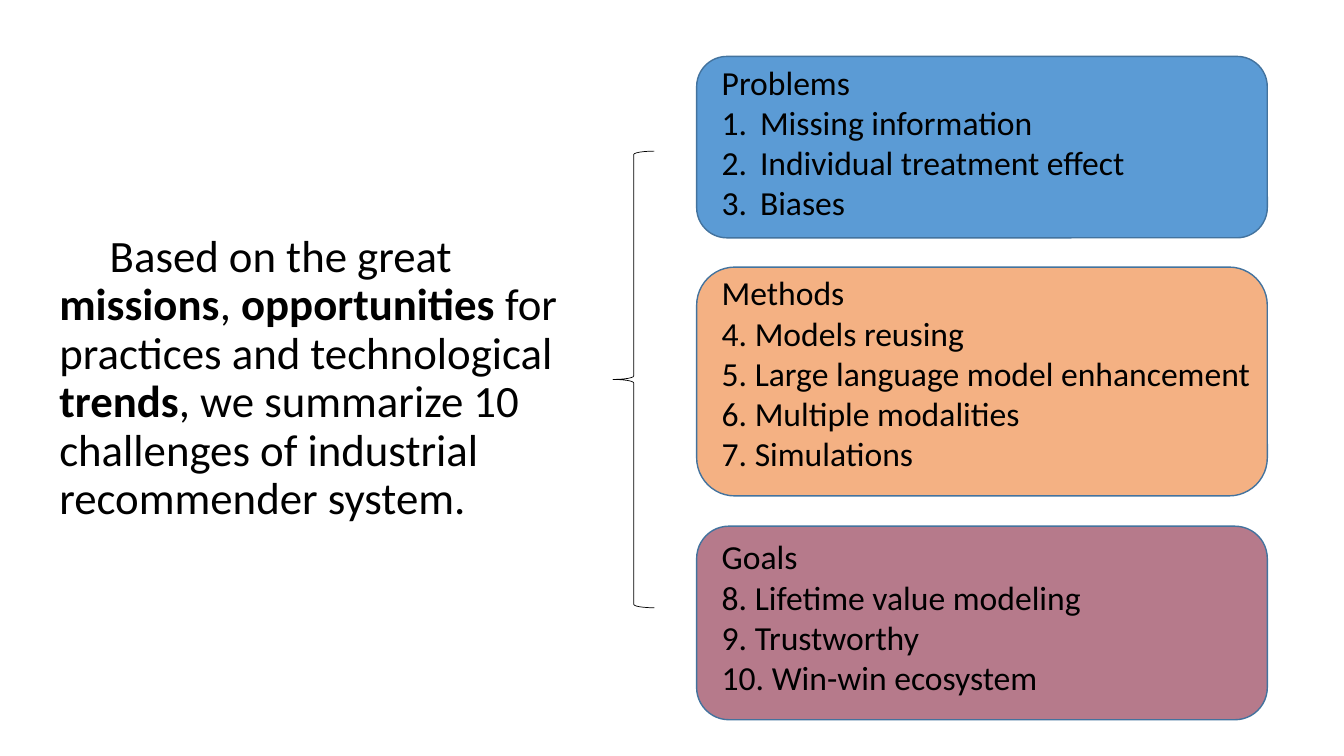
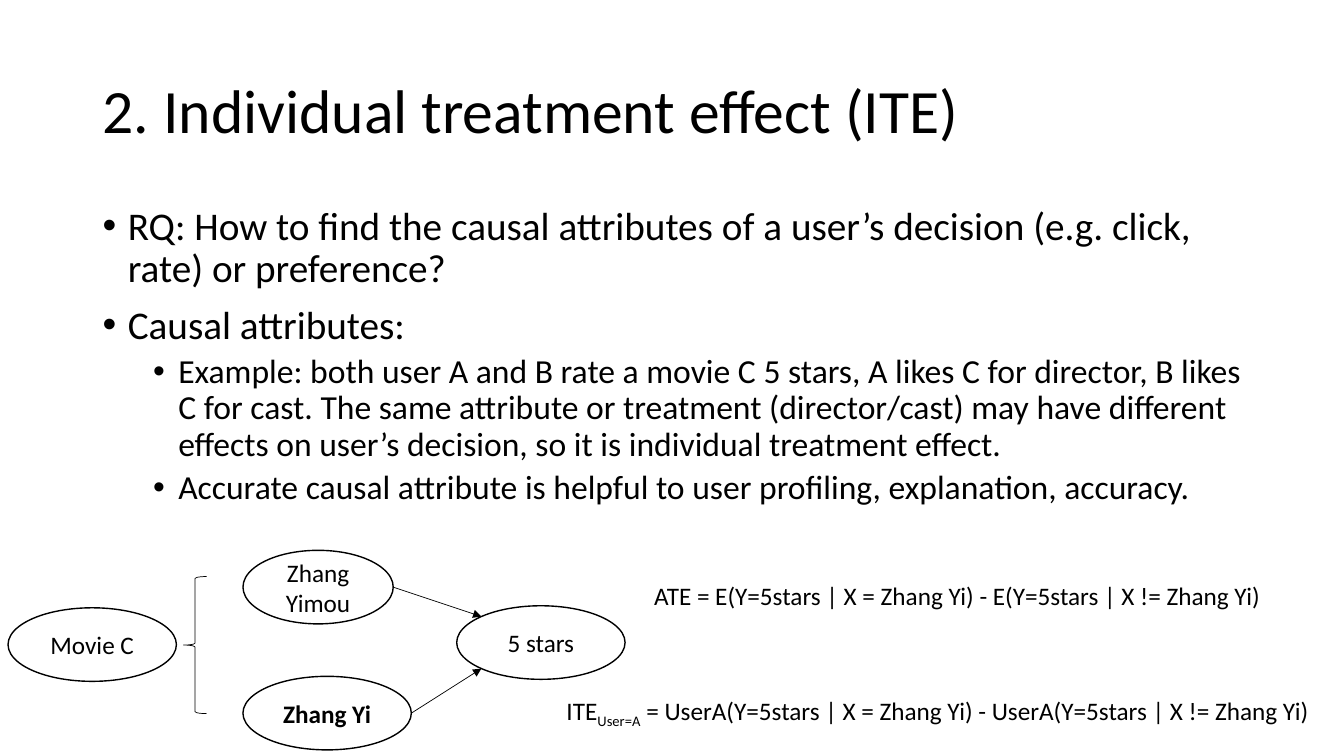
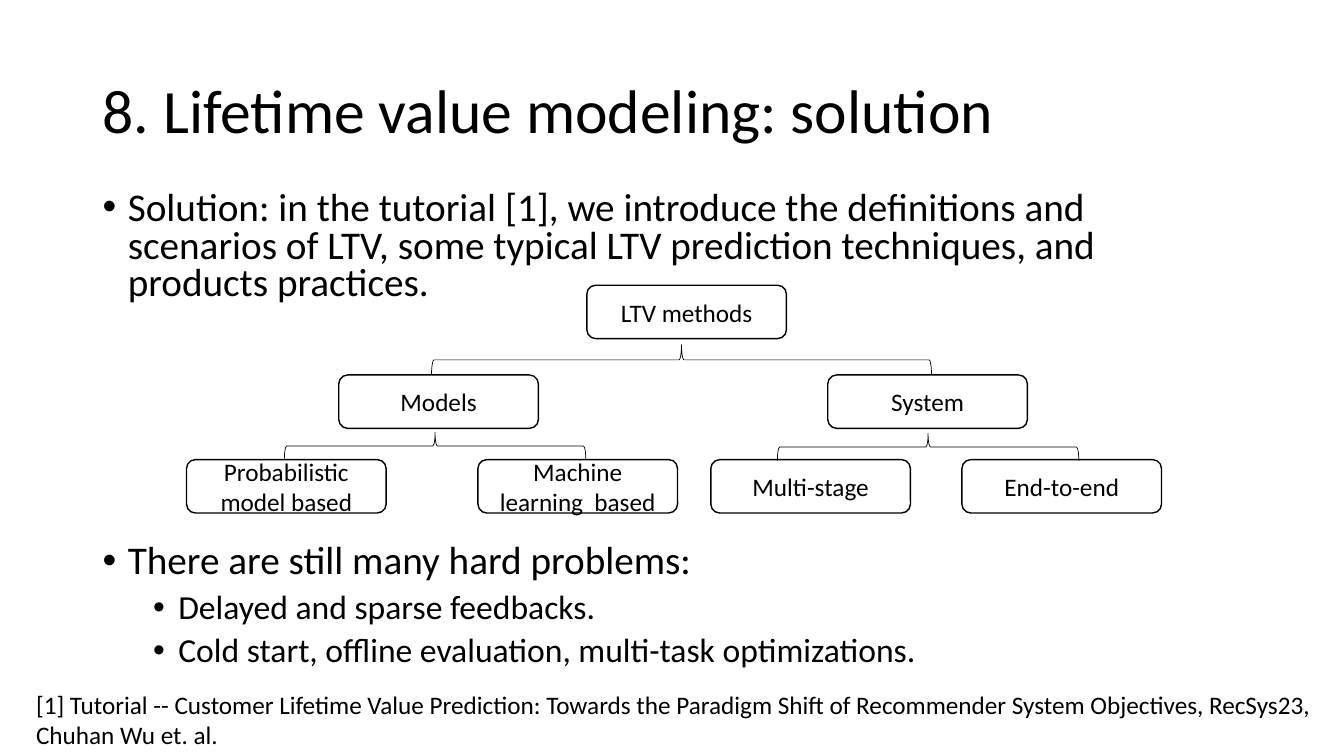
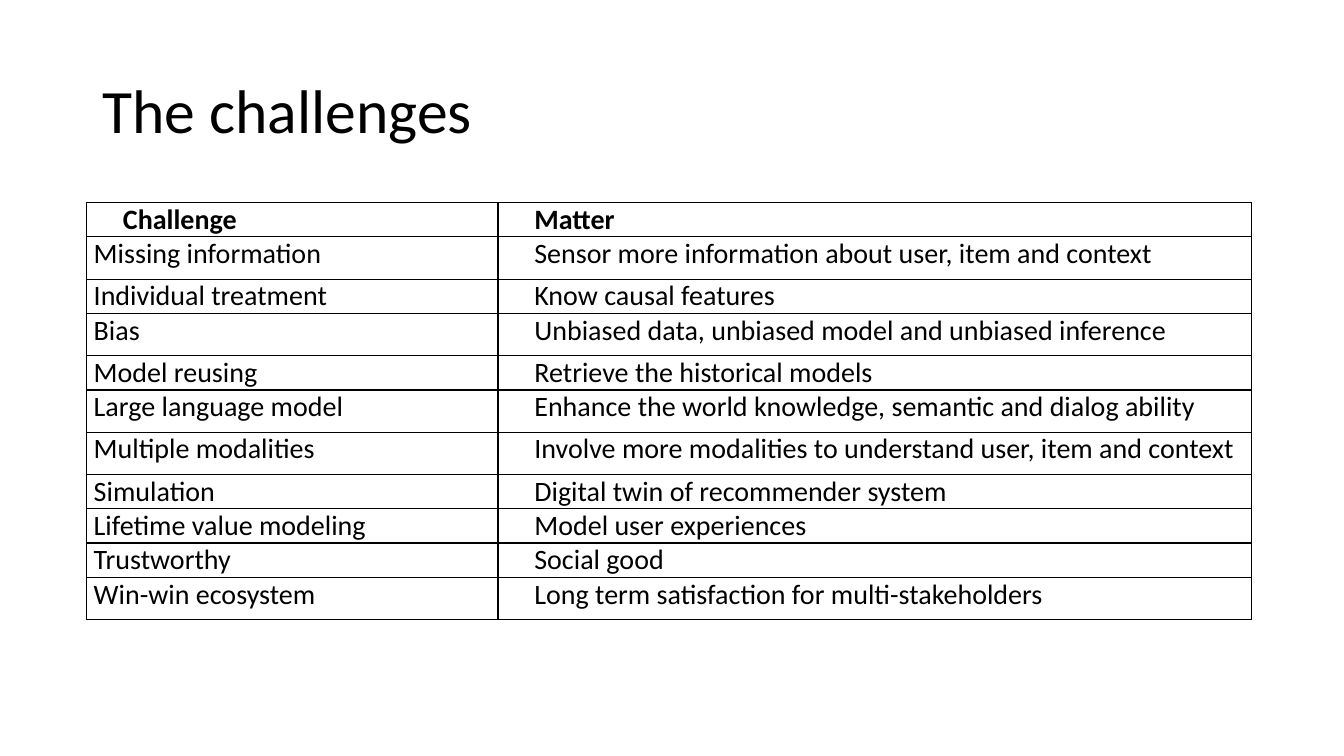
from math import sqrt

from lxml.etree import SubElement
from pptx import Presentation
from pptx.dml.color import RGBColor
from pptx.enum.shapes import MSO_CONNECTOR, MSO_SHAPE
from pptx.enum.text import MSO_ANCHOR, PP_ALIGN
from pptx.oxml.ns import qn
from pptx.util import Inches, Pt

BLACK = RGBColor(0x00, 0x00, 0x00)
PANEL_LINE = RGBColor(0x43, 0x73, 0x9E)
BLUE = RGBColor(0x5B, 0x9B, 0xD5)
ORANGE = RGBColor(0xF4, 0xB1, 0x83)
MAUVE = RGBColor(0xB6, 0x7A, 0x8B)

FONT = "Calibri"
TITLE_BOX = (0.92, 0.4, 11.5, 1.45)
BODY_LEFT, BODY_WIDTH = 0.92, 11.5
BODY_LEVELS = [
    {"size": 28, "margin": 0.25, "before": 10},
    {"size": 24, "margin": 0.75, "before": 5},
]
NODE_SIZE = (1.98, 0.53)
TABLE_COLUMNS = (4.08, 7.47)
SHORT_ROW, TALL_ROW = 0.34, 0.42
CELL_INDENT = 0.29

PANELS = [
    {"top": 0.56, "height": 1.8, "fill": BLUE, "text_top": 0.56, "width": 4.4,
     "heading": "Problems", "numbered": True,
     "items": ["Missing information", "Individual treatment effect", "Biases"]},
    {"top": 2.65, "height": 2.27, "fill": ORANGE, "text_top": 2.65, "width": 6.27,
     "heading": "Methods", "numbered": False,
     "items": ["4. Models reusing", "5. Large language model enhancement",
               "6. Multiple modalities", "7. Simulations"]},
    {"top": 5.22, "height": 1.92, "fill": MAUVE, "text_top": 5.27, "width": 6.27,
     "heading": "Goals", "numbered": False,
     "items": ["8. Lifetime value modeling", "9. Trustworthy", "10. Win-win ecosystem"]},
]

TREE_NODES = [
    (5.82, 2.83, "LTV methods"),
    (3.36, 3.72, "Models"),
    (8.21, 3.72, "System"),
    (1.85, 4.56, "Probabilistic model based"),
    (4.74, 4.56, "Machine learning  based"),
    (7.05, 4.56, "Multi-stage"),
    (9.54, 4.56, "End-to-end"),
]
TREE_BRACES = [(4.28, 3.42, 4.96, 0.3), (2.82, 4.29, 2.99, 0.27), (7.71, 4.3, 2.99, 0.27)]

CHALLENGES = [
    (SHORT_ROW, "Challenge", "Matter"),
    (TALL_ROW, "Missing information", "Sensor more information about user, item and context"),
    (SHORT_ROW, "Individual treatment", "Know causal features"),
    (TALL_ROW, "Bias", "Unbiased data, unbiased model and unbiased inference"),
    (SHORT_ROW, "Model reusing", "Retrieve the historical models"),
    (TALL_ROW, "Large language model", "Enhance the world knowledge, semantic and dialog ability"),
    (TALL_ROW, "Multiple modalities", "Involve more modalities to understand user, item and context"),
    (SHORT_ROW, "Simulation", "Digital twin of recommender system"),
    (SHORT_ROW, "Lifetime value modeling", "Model user experiences"),
    (SHORT_ROW, "Trustworthy", "Social good"),
    (TALL_ROW, "Win-win ecosystem", "Long term satisfaction for multi-stakeholders"),
]


def apply(target, values):
    """Set each named attribute of the target."""
    for name, value in values.items():
        setattr(target, name, value)


def add_span(para, text, size, bold=False, baseline=None):
    """Append one formatted run to a paragraph."""
    span = para.add_run()
    span.text = text
    apply(span.font, {"name": FONT, "size": Pt(size), "bold": bold})
    span.font.color.rgb = BLACK
    if baseline is not None:
        span.font._element.set("baseline", str(baseline))


def set_indent(para, margin, first):
    """Set the left margin and first-line indent in inches."""
    properties = para._p.get_or_add_pPr()
    properties.set("marL", str(Inches(margin)))
    properties.set("indent", str(Inches(first)))


def set_bullet(para, tag, **values):
    """Give a paragraph a bullet or an automatic number."""
    properties = para._p.get_or_add_pPr()
    if tag == "buChar":
        SubElement(properties, qn("a:buFont")).set("typeface", "Arial")
    bullet = SubElement(properties, qn("a:" + tag))
    for name, value in values.items():
        bullet.set(name, value)


def next_para(frame):
    """Return the empty first paragraph, or a new one."""
    first = frame.paragraphs[0]
    return frame.add_paragraph() if first.runs else first


def add_text(page, box, anchor=MSO_ANCHOR.TOP):
    """Add a wrapping text box and return its frame."""
    frame = page.shapes.add_textbox(*map(Inches, box)).text_frame
    apply(frame, {"word_wrap": True, "vertical_anchor": anchor})
    return frame


def add_shape(page, kind, box, fill=None, line=BLACK, weight=1):
    """Add a flat preset shape with an optional fill."""
    shape = page.shapes.add_shape(kind, *map(Inches, box))
    shape.shadow.inherit = False
    if fill is None:
        shape.fill.background()
    else:
        shape.fill.solid()
        shape.fill.fore_color.rgb = fill
    shape.line.color.rgb = line
    shape.line.width = Pt(weight)
    return shape


def add_node(page, kind, box, text, bold=False):
    """Add an outlined shape with a centred label."""
    frame = add_shape(page, kind, box).text_frame
    apply(frame, {"word_wrap": True, "vertical_anchor": MSO_ANCHOR.MIDDLE})
    para = frame.paragraphs[0]
    para.alignment = PP_ALIGN.CENTER
    add_span(para, text, 18, bold)


def add_brace_above(page, box):
    """Add a brace that opens downwards and fills the given box."""
    left, top, width, height = box
    upright = (left + (width - height) / 2, top + (height - width) / 2, height, width)
    add_shape(page, MSO_SHAPE.RIGHT_BRACE, upright, weight=0.5).rotation = 270


def add_arrow(page, start, end):
    """Add a thin straight arrow between two points."""
    arrow = page.shapes.add_connector(MSO_CONNECTOR.STRAIGHT, *map(Inches, start + end))
    arrow.line.color.rgb = BLACK
    arrow.line.width = Pt(0.5)
    SubElement(arrow.line._get_or_add_ln(), qn("a:tailEnd")).set("type", "triangle")
    SubElement(arrow._element.spPr, qn("a:effectLst"))


def add_title(page, text):
    """Add the slide title."""
    para = add_text(page, TITLE_BOX, MSO_ANCHOR.MIDDLE).paragraphs[0]
    para.line_spacing = 0.9
    add_span(para, text, 44)


def add_body(page, top, height, items):
    """Add bulleted text from (level, text, overrides) items."""
    frame = add_text(page, (BODY_LEFT, top, BODY_WIDTH, height))
    for level, text, overrides in items:
        style = BODY_LEVELS[level]
        para = next_para(frame)
        apply(para, {"level": level, "line_spacing": 0.9,
                     "space_before": Pt(style["before"]), **overrides})
        set_indent(para, style["margin"], -0.25)
        set_bullet(para, "buChar", char="•")
        add_span(para, text, style["size"])


def add_panel(page, left, width, panel):
    """Add one coloured panel with its heading and list."""
    add_shape(page, MSO_SHAPE.ROUNDED_RECTANGLE,
              (left, panel["top"], width, panel["height"]), panel["fill"], PANEL_LINE)
    text_height = 0.4 * (len(panel["items"]) + 1) + 0.12
    frame = add_text(page, (left + 0.15, panel["text_top"], panel["width"], text_height))
    add_span(frame.paragraphs[0], panel["heading"], 24)
    for item in panel["items"]:
        para = frame.add_paragraph()
        if panel["numbered"]:
            set_indent(para, 0.38, -0.38)
            set_bullet(para, "buAutoNum", type="arabicPeriod")
        add_span(para, item, 24)


def add_causal_graph(page, left, top):
    """Add the movie graph, placed from its top left corner."""
    width, height = 1.67, 0.73
    director = (left + 2.33, top, 1.49, height)
    cast = (left + 2.33, top + 1.25, width, height)
    rating = (left + 4.45, top + 0.55, width, height)
    movie = (left, top + 0.57, width, height)
    for box, text, bold in [(rating, "5 stars", False), (movie, "Movie C", False),
                            (director, "Zhang Yimou", False), (cast, "Zhang Yi", True)]:
        add_node(page, MSO_SHAPE.OVAL, box, text, bold)
    diagonal = 1 / sqrt(8)
    for source, side in [(director, -1), (cast, 1)]:
        start = (source[0] + source[2], source[1] + height / 2)
        end = (rating[0] + width * (0.5 - diagonal),
               rating[1] + height * (0.5 + side * diagonal))
        add_arrow(page, start, end)
    add_shape(page, MSO_SHAPE.LEFT_BRACE, (left + 1.74, top + 0.26, 0.23, 1.36), weight=0.5)


def add_table(page, left, top):
    """Add the bordered table of challenges."""
    height = sum(row[0] for row in CHALLENGES)
    box = (left, top, sum(TABLE_COLUMNS), height)
    table = page.shapes.add_table(len(CHALLENGES), 2, *map(Inches, box)).table
    apply(table, {"first_row": False, "horz_banding": False})
    for column, width in zip(table.columns, TABLE_COLUMNS):
        column.width = Inches(width)
    for row_index, (row_height, *texts) in enumerate(CHALLENGES):
        table.rows[row_index].height = Inches(row_height)
        for column_index, text in enumerate(texts):
            header = row_index == 0
            fill_cell(table.cell(row_index, column_index), text, header,
                      header or column_index == 1)


def fill_cell(cell, text, bold, indented):
    """Write one cell and draw its borders."""
    apply(cell, {"margin_left": Inches(0.07), "margin_right": Inches(0.07),
                 "margin_top": 0, "margin_bottom": 0})
    properties = cell._tc.get_or_add_tcPr()
    for side in ("lnL", "lnR", "lnT", "lnB"):
        border = SubElement(properties, qn("a:" + side), w=str(Pt(1)))
        solid = SubElement(border, qn("a:solidFill"))
        SubElement(solid, qn("a:srgbClr")).set("val", str(BLACK))
    cell.fill.background()
    para = cell.text_frame.paragraphs[0]
    para.alignment = PP_ALIGN.JUSTIFY
    if indented:
        set_indent(para, 0, CELL_INDENT)
    add_span(para, text, 20, bold)


def build_overview(page):
    """Build the summary with three panels."""
    para = add_text(page, (0.49, 2.27, 5.46, 3)).paragraphs[0]
    apply(para, {"line_spacing": 0.9, "space_before": Pt(10)})
    set_indent(para, 0, 0.5)
    for text, bold in [
        ("Based on the great ", False), ("missions", True), (", ", False),
        ("opportunities", True), (" for practices and technological ", False),
        ("trends", True),
        (", we summarize 10 challenges of industrial recommender system.", False),
    ]:
        add_span(para, text, 32, bold)
    for panel in PANELS:
        add_panel(page, 6.91, 5.66, panel)
    add_shape(page, MSO_SHAPE.LEFT_BRACE, (6.08, 1.5, 0.41, 4.53), weight=0.5)


def build_treatment(page):
    """Build the slide on individual treatment effect."""
    add_title(page, "2. Individual treatment effect (ITE)")
    add_body(page, 2, 4.76, [
        (0, "RQ: How to find the causal attributes of a user’s decision "
            "(e.g. click, rate) or preference?", {}),
        (0, "Causal attributes:", {}),
        (1, "Example: both user A and B rate a movie C 5 stars, A likes C for director, "
            "B likes C for cast. The same attribute or treatment (director/cast) may have "
            "different effects on user’s decision, so it is individual treatment effect.", {}),
        (1, "Accurate causal attribute is helpful to user profiling, explanation, accuracy.", {}),
    ])
    add_causal_graph(page, 0.08, 5.46)
    average = add_text(page, (6.39, 5.71, 6.94, 0.4)).paragraphs[0]
    add_span(average, "ATE = E(Y=5stars | X = Zhang Yi) - E(Y=5stars | X != Zhang Yi)", 18)
    individual = add_text(page, (5.52, 6.85, 7.81, 0.4)).paragraphs[0]
    add_span(individual, "ITE", 18)
    add_span(individual, "User=A", 18, baseline=-25000)
    add_span(individual, " = UserA(Y=5stars | X = Zhang Yi) - UserA(Y=5stars | X != Zhang Yi)", 18)


def build_lifetime_value(page):
    """Build the slide on lifetime value modeling."""
    add_title(page, "8. Lifetime value modeling: solution")
    add_body(page, 1.85, 4.94, [
        (0, "Solution: in the tutorial [1], we introduce the definitions and scenarios of LTV, "
            "some typical LTV prediction techniques, and products practices.",
         {"line_spacing": 0.8}),
        (0, "There are still many hard problems:", {"space_before": Pt(169)}),
        (1, "Delayed and sparse feedbacks.", {}),
        (1, "Cold start, offline evaluation, multi-task optimizations.", {}),
    ])
    for left, top, text in TREE_NODES:
        add_node(page, MSO_SHAPE.ROUNDED_RECTANGLE, (left, top, *NODE_SIZE), text)
    for box in TREE_BRACES:
        add_brace_above(page, box)
    reference = add_text(page, (0.26, 6.79, 13.07, 0.71)).paragraphs[0]
    add_span(reference, "[1] Tutorial -- Customer Lifetime Value Prediction: Towards the "
             "Paradigm Shift of Recommender System Objectives, RecSys23, Chuhan Wu et. al.", 18)


def build_challenges(page):
    """Build the slide with the table of challenges."""
    add_title(page, "The challenges")
    add_table(page, 0.86, 2.01)


def main():
    """Build and save the deck."""
    deck = Presentation()
    apply(deck, {"slide_width": Inches(13.33), "slide_height": Inches(7.5)})
    for build in (build_overview, build_treatment, build_lifetime_value, build_challenges):
        build(deck.slides.add_slide(deck.slide_layouts[6]))
    deck.save("out.pptx")


if __name__ == "__main__":
    main()
